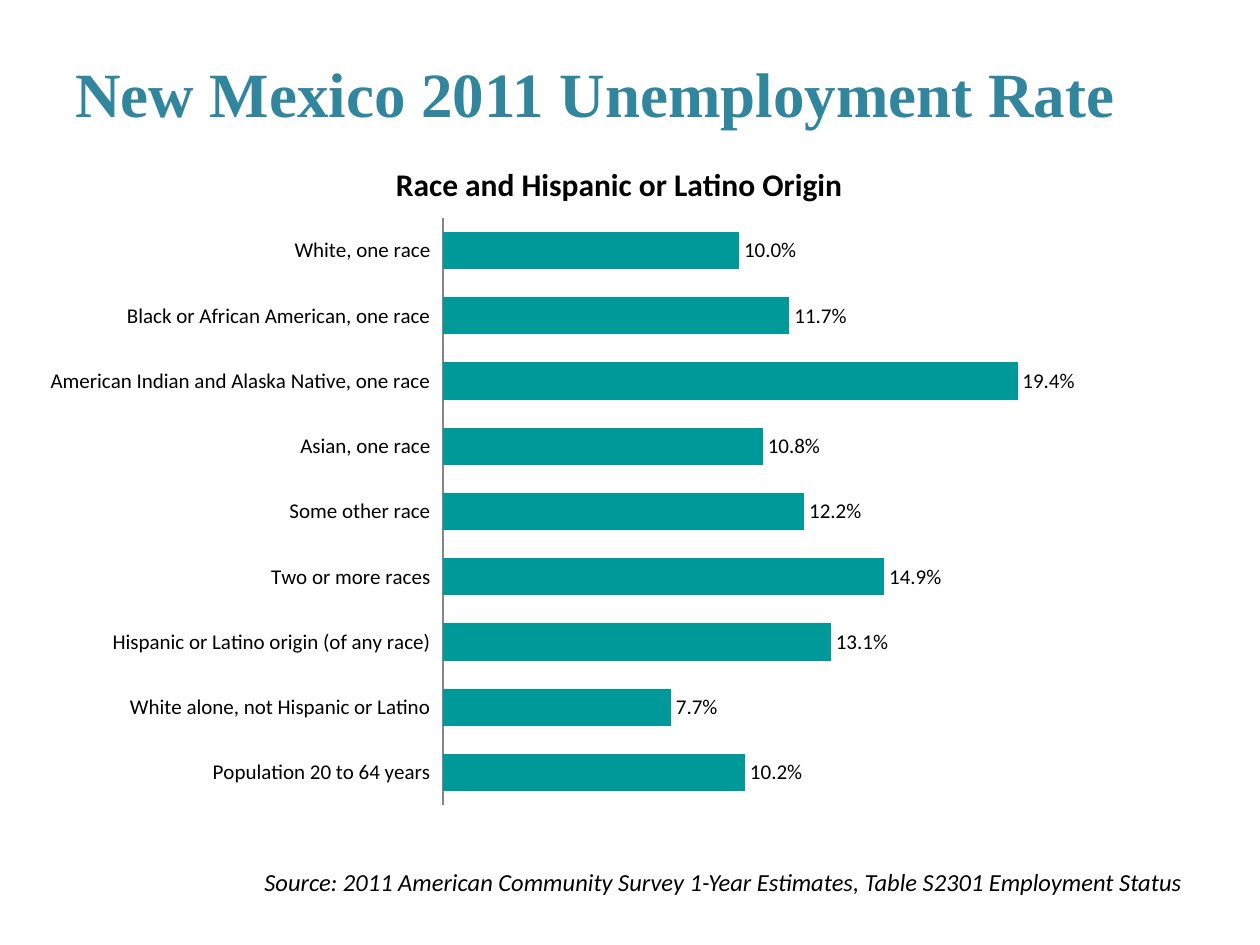
from lxml.etree import SubElement
from pptx import Presentation
from pptx.chart.data import CategoryChartData
from pptx.dml.color import RGBColor
from pptx.enum.chart import XL_CHART_TYPE, XL_LABEL_POSITION, XL_TICK_LABEL_POSITION, XL_TICK_MARK
from pptx.enum.text import MSO_ANCHOR
from pptx.oxml.ns import qn
from pptx.util import Inches, Pt

# Content
TITLE = "New Mexico 2011 Unemployment Rate"
HEAD = "Race and Hispanic or Latino Origin"
SOURCE = "Source: 2011 American Community Survey 1-Year Estimates, Table S2301 Employment Status"
RATES = {
    "White, one race": 0.1,
    "Black or African American, one race": 0.117,
    "American Indian and Alaska Native, one race": 0.194,
    "Asian, one race": 0.108,
    "Some other race": 0.122,
    "Two or more races": 0.149,
    "Hispanic or Latino origin (of any race)": 0.131,
    "White alone, not Hispanic or Latino": 0.077,
    "Population 20 to 64 years": 0.102,
}
PLOT = {"x": 0.35, "y": 0.12, "w": 0.63, "h": 0.86}  # shares of the chart frame


def tint(code):
    return RGBColor.from_string(code)


def style(font, size, name="Calibri", color="000000", bold=False, italic=False):
    font.size, font.name = Pt(size), name
    font.bold, font.italic = bold, italic
    font.color.rgb = tint(color)


def add_text(slide, text, box, wrap=True, anchor=MSO_ANCHOR.TOP, **look):
    frame = slide.shapes.add_textbox(*map(Inches, box)).text_frame
    frame.word_wrap = wrap
    frame.vertical_anchor = anchor
    run = frame.paragraphs[0].add_run()
    run.text = text
    style(run.font, **look)


def place_plot(chart):
    area = chart.plots[0]._element.getparent()
    layout = area.find(qn("c:layout"))
    if layout is None:
        layout = SubElement(area, qn("c:layout"))
        area.insert(0, layout)
    manual = SubElement(layout, qn("c:manualLayout"))
    parts = {"layoutTarget": "inner", "xMode": "edge", "yMode": "edge", **PLOT}
    for tag, val in parts.items():
        SubElement(manual, qn("c:" + tag)).set("val", str(val))


def add_bars(slide, box):
    data = CategoryChartData(number_format="0.0%")
    data.categories = list(RATES)
    data.add_series("Series 1", list(RATES.values()))
    chart = slide.shapes.add_chart(
        XL_CHART_TYPE.BAR_CLUSTERED, *map(Inches, box), data).chart
    style(chart.font, 10)
    chart.has_legend = False

    # Heading
    chart.has_title = True
    chart.chart_title.include_in_layout = False
    run = chart.chart_title.text_frame.paragraphs[0].add_run()
    run.text = HEAD
    style(run.font, 18, bold=True)

    # Axes
    cats, vals = chart.category_axis, chart.value_axis
    cats.reverse_order = True
    cats.major_tick_mark = cats.minor_tick_mark = XL_TICK_MARK.NONE
    cats.tick_label_position = XL_TICK_LABEL_POSITION.LOW
    cats.format.line.color.rgb = tint("868686")
    style(cats.tick_labels.font, 12)
    vals.has_major_gridlines = False
    vals.minimum_scale, vals.maximum_scale = 0, 0.25
    vals.visible = False

    # Bars and labels
    plot = chart.plots[0]
    plot.gap_width = 75
    plot.vary_by_categories = False
    fill = plot.series[0].format.fill
    fill.solid()
    fill.fore_color.rgb = tint("009999")
    labels = plot.series[0].data_labels
    labels.show_value = True
    labels.number_format = "0.0%"
    labels.number_format_is_linked = False
    labels.position = XL_LABEL_POSITION.OUTSIDE_END
    style(labels.font, 12)
    place_plot(chart)


def main():
    deck = Presentation()
    deck.slide_width, deck.slide_height = Inches(10), Inches(7.5)
    slide = deck.slides.add_slide(deck.slide_layouts[6])
    add_text(slide, TITLE, (0.5, 0.3, 9, 0.87), anchor=MSO_ANCHOR.MIDDLE,
             size=36, name="Times New Roman", color="31859C", bold=True)
    add_bars(slide, (0.25, 1.08, 9.33, 5.42))
    add_text(slide, SOURCE, (2, 6.83, 7.52, 0.34), wrap=False, size=14, italic=True)
    deck.save("out.pptx")


if __name__ == "__main__":
    main()
